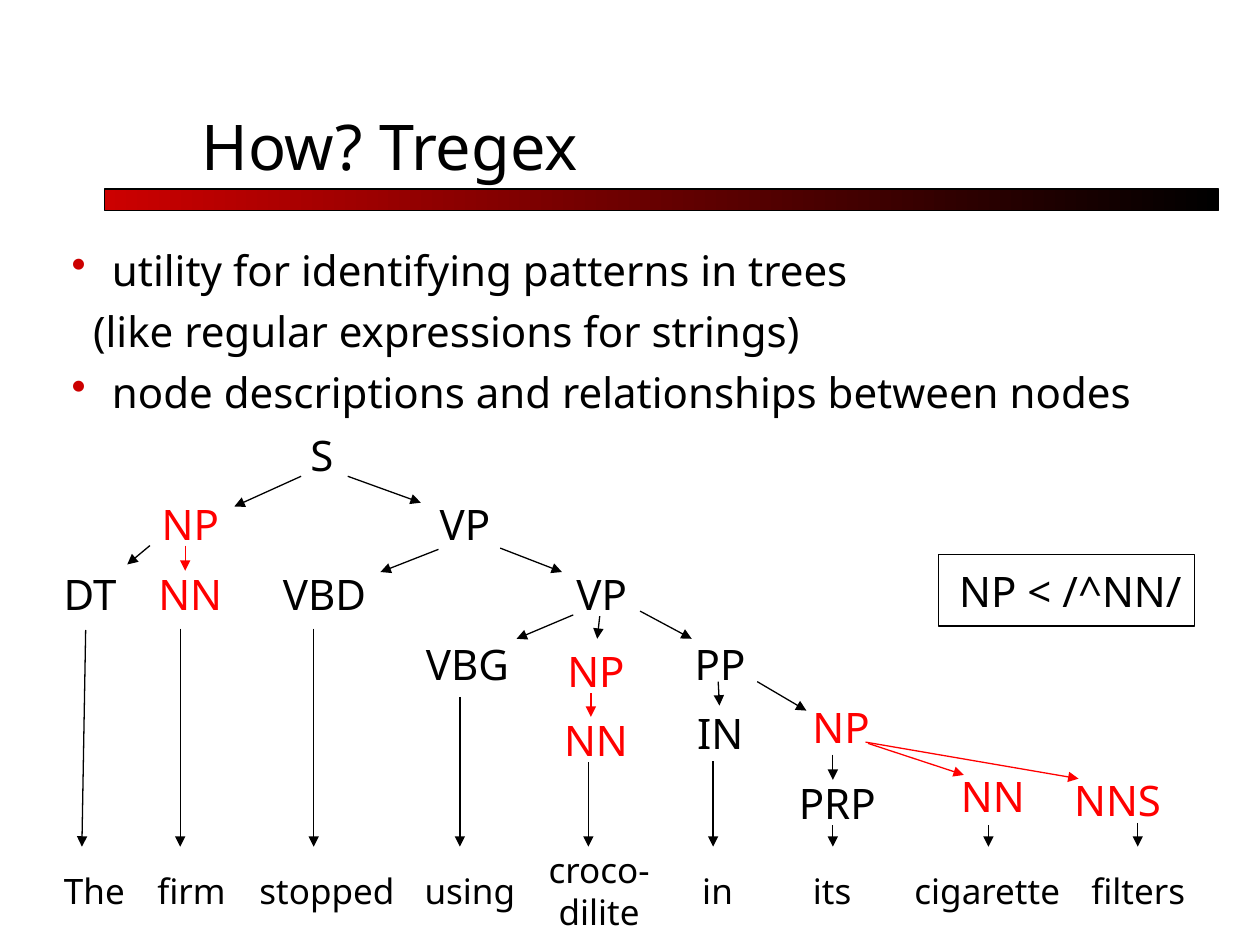
from lxml import etree
from pptx import Presentation
from pptx import util as u
from pptx.dml.color import RGBColor
from pptx.enum import shapes, text
from pptx.oxml.ns import qn

BLACK = RGBColor(0, 0, 0)
RED = RGBColor(255, 0, 0)
DEEP = RGBColor(204, 0, 0)
MID = text.MSO_ANCHOR.MIDDLE
LEFT = text.PP_ALIGN.LEFT
MAIN = text.PP_ALIGN.CENTER
COLS, ROWS = 100, 75
TOP, STEP = 33.3, 5.53
WORD, TIP = 66.4, 67.2

NODES = [
    ("S", 18.5, 14.1, 0), ("NP", 9.5, 11.2, 1), ("VP", 31.6, 10.6, 1),
    ("DT", 3.2, 7.9, 2), ("NN", 9.5, 11.2, 2), ("VBD", 18.7, 14.1, 2),
    ("VP", 41.7, 12.1, 2), ("VBG", 31.8, 10.6, 3), ("NP", 41.7, 11.2, 3.11),
    ("PP", 52.9, 8.5, 3), ("NN", 41.7, 11.2, 4.1), ("IN", 52.9, 8.5, 4),
    ("NP", 61.5, 10.5, 3.9), ("PRP", 60.8, 11.3, 5),
    ("NN", 71.9, 13.8, 4.9), ("NNS", 83.9, 9.6, 4.95),
]
WORDS = [
    ("The", 3.6, 7.8), ("firm", 10.9, 8.6), ("stopped", 18.9, 14.1),
    ("using", 32, 10.6), ("croco-dilite", 41.5, 12.1), ("in", 52.7, 8.5),
    ("its", 60.4, 11.3), ("cigarette", 70.9, 14.9), ("filters", 84.8, 11.1),
]
EDGES = [
    (23.9, 37.8, 18.6, 40.2), (27.6, 37.8, 33.4, 39.9),
    (11.9, 43.3, 10.1, 44.8), (34.8, 43.6, 30.2, 45.4),
    (39.7, 43.5, 44.6, 45.4), (45.5, 48.8, 41, 50.7),
    (47.6, 48.9, 47.4, 50.7), (50.8, 48.5, 54.9, 50.7),
    (57, 54.1, 57.1, 56), (60.1, 54.1, 64, 56.4),
    (66.1, 59.9, 66.1, 61.9), (6.8, 50, 6.5, TIP),
]
HITS = [
    (14.7, 43.3, 14.7, 45.3), (46.9, 55, 46.9, 56.9),
    (68.9, 59, 76.5, 61.5), (68.7, 58.9, 85.6, 61.8),
]
DROPS = [
    (14.3, 49.9), (24.9, 49.9), (36.5, 55.3), (46.7, 60.5),
    (56.6, 60.4), (66.1, 65.5), (78.45, 65.5), (90.3, 65.3),
]


class Page:
    """Draw styled elements on one slide, placed by column and row."""

    def __init__(self, deck):
        self.font = "Noto Sans"
        self.line = u.Pt(0.75)
        self.wide = deck.slide_width / COLS
        self.high = deck.slide_height / ROWS
        self.slide = deck.slides.add_slide(deck.slide_layouts[6])

    def spot(self, x, y):
        return round(x * self.wide), round(y * self.high)

    def text(self, lines, x, y, w, h, size=24, hue=BLACK, align=MAIN,
             gap=6, anchor=MID):
        box = self.slide.shapes.add_textbox(*self.spot(x, y), *self.spot(w, h))
        frame = box.text_frame
        frame.word_wrap = True
        frame.vertical_anchor = anchor
        frame.text = "\n".join(lines)
        for para in frame.paragraphs:
            para.alignment = align
            para.space_before = u.Pt(gap)
            para.font.name = self.font
            para.font.size = u.Pt(size)
            para.font.color.rgb = hue
        return frame

    def indent(self, para, left, mark=None):
        props = para._p.get_or_add_pPr()
        props.set("marL", str(u.Inches(left)))
        if mark:
            props.set("indent", str(-u.Inches(left)))
            tint = etree.SubElement(props, qn("a:buClr"))
            etree.SubElement(tint, qn("a:srgbClr"), val=str(DEEP))
            etree.SubElement(props, qn("a:buChar"), char=mark)
            for run in props.findall(qn("a:defRPr")):
                props.append(run)

    def rect(self, x, y, w, h, fade=None):
        kind = shapes.MSO_SHAPE.RECTANGLE
        box = self.slide.shapes.add_shape(kind, *self.spot(x, y), *self.spot(w, h))
        box.shadow.inherit = False
        box.line.color.rgb = BLACK
        box.line.width = self.line
        if fade:
            box.fill.gradient()
            box.fill.gradient_angle = 0
            for stop, hue in zip(box.fill.gradient_stops, fade):
                stop.color.rgb = hue
        else:
            box.fill.background()

    def arrow(self, x1, y1, x2, y2, hue=BLACK):
        kind = shapes.MSO_CONNECTOR.STRAIGHT
        link = self.slide.shapes.add_connector(
            kind, *self.spot(x1, y1), *self.spot(x2, y2))
        link.line.color.rgb = hue
        link.line.width = self.line
        etree.SubElement(link.line._get_or_add_ln(), qn("a:tailEnd"), type="triangle")
        etree.SubElement(link._element.spPr, qn("a:effectLst"))


def main():
    deck = Presentation()
    deck.slide_width, deck.slide_height = u.Inches(10), u.Inches(7.5)
    page = Page(deck)

    page.rect(8.3, 15, 88.4, 1.7, (DEEP, BLACK))
    page.text(["How? Tregex"], 15, 4.2, 85, 10.8, 36, align=LEFT, gap=0,
              anchor=text.MSO_ANCHOR.BOTTOM)

    body = page.text(["utility for identifying patterns in trees",
                      "(like regular expressions for strings)",
                      "node descriptions and relationships between nodes"],
                     4.7, 18.9, 92.9, 14.7, align=LEFT)
    for para, (left, mark) in zip(body.paragraphs,
                                  [(0.32, "•"), (0.17, None), (0.32, "•")]):
        page.indent(para, left, mark)

    page.text(["NP < /^NN/"], 74.5, 44.4, 20.9, 5, gap=15)
    page.rect(74.5, 44, 20.3, 5.7)

    for name, x, w, level in NODES:
        hue = RED if name.startswith("N") else BLACK
        page.text([name], x, TOP + STEP * level, w, STEP, hue=hue)
    for word, x, w in WORDS:
        page.text([word], x, WORD, w, 8.6, 20, gap=5)

    for edge in EDGES:
        page.arrow(*edge)
    for edge in HITS:
        page.arrow(*edge, RED)
    for x, y in DROPS:
        page.arrow(x, y, x, TIP)

    deck.save("out.pptx")


if __name__ == "__main__":
    main()
